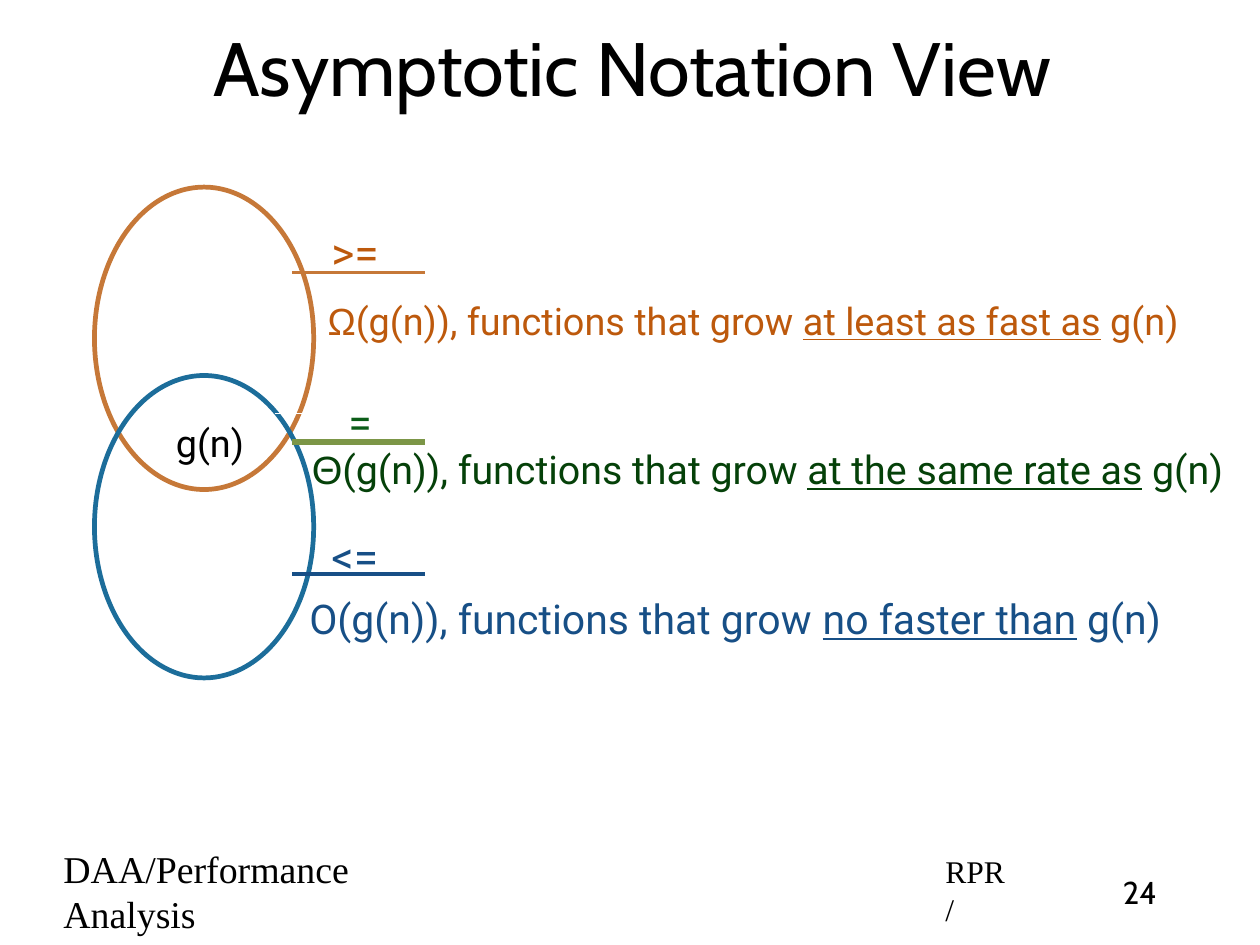
from lxml.etree import SubElement
from pptx import Presentation as Deck
from pptx.dml.color import RGBColor as Rgb
from pptx.enum.shapes import MSO_CONNECTOR as Link, MSO_SHAPE as Form
from pptx.enum.text import MSO_ANCHOR as Anchor, PP_ALIGN as Align
from pptx.oxml.ns import qn
from pptx.util import Inches as In, Pt

COLS, ROWS = 100, 75
BLACK, RUST, NAVY = "000000", "BD590C", "174F86"


def tint(code):
    return Rgb.from_string(code)


class Page:
    font = "Roboto"
    pad = 0.05

    def __init__(self, deck):
        self.slide = deck.slides.add_slide(deck.slide_layouts[6])
        self.col = deck.slide_width / COLS
        self.row = deck.slide_height / ROWS

    def place(self, x, y, w, h):
        return [round(n) for n in (x * self.col, y * self.row, w * self.col, h * self.row)]

    def text(self, box, runs, size, color=BLACK, font=None, pad=None, left=None,
             align=Align.LEFT, anchor=Anchor.TOP):
        frame = self.slide.shapes.add_textbox(*self.place(*box)).text_frame
        frame.word_wrap = True
        frame.vertical_anchor = anchor
        pad = pad or self.pad
        frame.margin_top = frame.margin_bottom = frame.margin_right = In(pad)
        frame.margin_left = In(left or pad)
        para = frame.paragraphs[0]
        para.alignment = align
        for words, style in runs:
            run = para.add_run()
            run.text = words
            run.font.size = Pt(size)
            run.font.color.rgb = tint(color)
            run.font.name = style.get("font", font or self.font)
            if style.get("under"):
                run.font.underline = True

    def oval(self, box, color):
        ring = self.slide.shapes.add_shape(Form.OVAL, *self.place(*box))
        ring.shadow.inherit = False
        ring.fill.background()
        ring.line.color.rgb = tint(color)
        ring.line.width = Pt(3)

    def rule(self, x, y, w, color, width):
        left, top, span, _ = self.place(x, y, w, 0)
        line = self.slide.shapes.add_connector(Link.STRAIGHT, left, top, left + span, top)
        SubElement(line._element.spPr, qn("a:effectLst"))
        line.line.color.rgb = tint(color)
        line.line.width = Pt(width)

    def claim(self, box, head, key, size, color):
        runs = [(head, {"font": "Arial"})] if head else []
        start = "(g(n)), functions that grow " if head else "O(g(n)), functions that grow "
        runs += [(start, {}), (key, {"under": True}), (" g(n)", {})]
        self.text(box, runs, size, color)


def main():
    deck = Deck()
    deck.slide_width, deck.slide_height = In(11.11), In(8.33)
    page = Page(deck)

    page.text((7.5, 0.6, 85, 9.4), [("Asymptotic Notation View", {})], 48, font="Cabin",
              pad=0.06, left=0.1, align=Align.CENTER, anchor=Anchor.MIDDLE)
    page.text((87.5, 68.75, 5.95, 3.8), [("24", {})], 20, font="Cabin",
              pad=0.06, align=Align.CENTER)
    for box, words, size in (
        ((4.15, 68.6, 34.6, 4.2), "DAA/Performance Analysis", 24),
        ((74.15, 68.75, 6.5, 3.8), "RPR/", 20),
    ):
        page.text(box, [(words, {})], size, font="Times New Roman",
                  pad=0.06, left=0.1, anchor=Anchor.MIDDLE)

    for y, color in ((14.85, "C67838"), (29.8, "1C6D9A")):
        page.oval((7.5, y, 17.4, 24), color)
    page.rule(21.8, 32.85, 10.45, "FFFFFF", 0.75)

    for box, head, key, size, color in (
        ((25.55, 23.2, 70.4, 4.8), "Ω", "at least as fast as", 24, RUST),
        ((24.3, 34.9, 75.6, 4.95), "Θ", "at the same rate as", 25, "054109"),
        ((24.1, 46.7, 71, 4.8), "", "no faster than", 26, NAVY),
    ):
        page.claim(box, head, key, size, color)

    page.text((13.5, 32.85, 6.7, 4.5), [("g(n)", {})], 24)
    for box, sign, size, color, y, shade, width in (
        ((25.85, 17.45, 6.1, 5.1), ">=", 28, RUST, 21.6, "C67838", 2),
        ((25.85, 41.6, 6.1, 5.1), "<=", 28, NAVY, 45.55, NAVY, 2),
        ((27.2, 30.95, 3.5, 5), "=", 27, "0B5D18", 35.1, "7C9647", 4),
    ):
        page.text(box, [(sign, {})], size, color)
        page.rule(23.2, y, 10.55, shade, width)

    deck.save("out.pptx")


if __name__ == "__main__":
    main()
